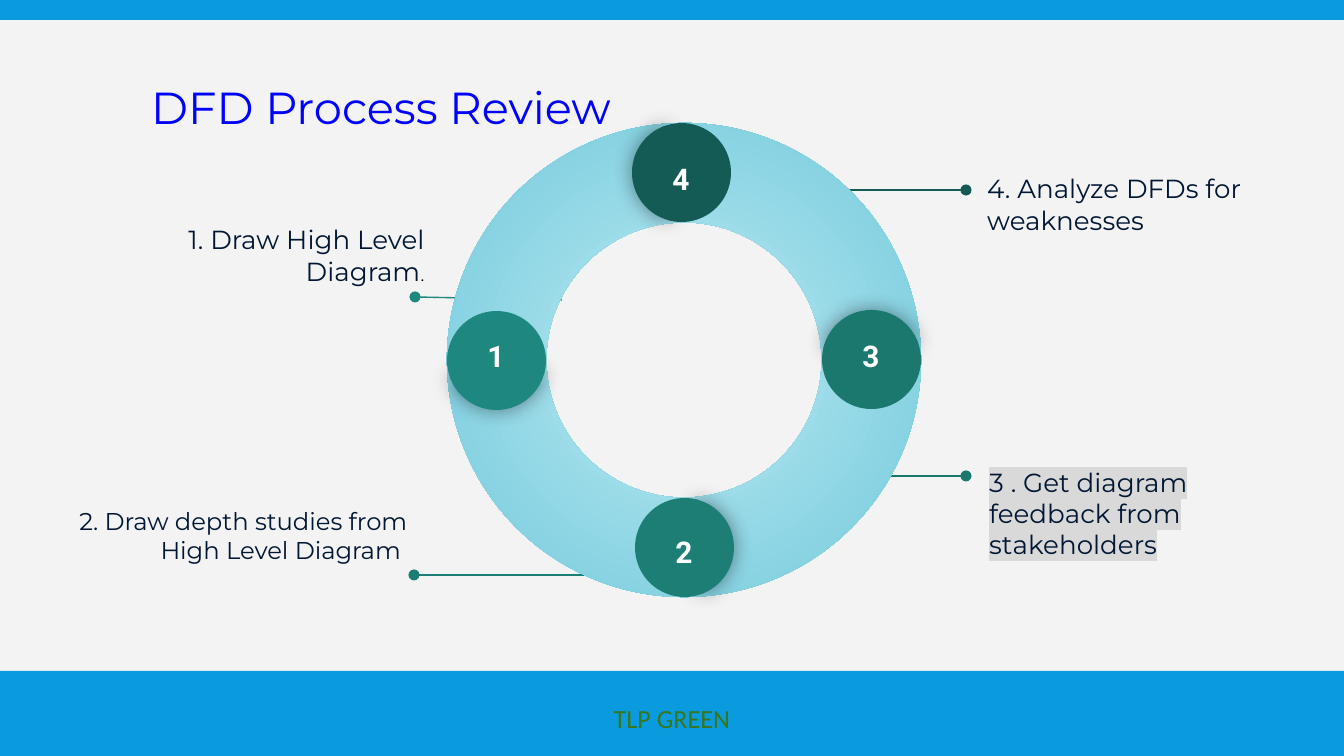
"""Build the DFD process review slide with its four-step ring."""
from dataclasses import dataclass

from lxml import etree
from pptx import Presentation
from pptx import util as u
from pptx.dml.color import RGBColor
from pptx.enum import shapes, text
from pptx.oxml.ns import qn

PX = 914400 / 134.4
BACKGROUND = RGBColor(0xF3, 0xF3, 0xF3)
BAR_BLUE = RGBColor(0x09, 0x9B, 0xDD)
TITLE_BLUE = RGBColor(0x00, 0x00, 0xFF)
FOOTER_GREEN = RGBColor(0x38, 0x76, 0x1D)
NAVY = RGBColor(0x00, 0x16, 0x33)
BLACK = RGBColor(0x00, 0x00, 0x00)
WHITE = RGBColor(0xFF, 0xFF, 0xFF)
RING_LIGHT = RGBColor(0xBC, 0xE8, 0xF1)
RING_DARK = RGBColor(0x56, 0xBF, 0xD5)
TEAL_1 = RGBColor(0x1F, 0x88, 0x7E)
TEAL_2 = RGBColor(0x1D, 0x7E, 0x75)
TEAL_3 = RGBColor(0x1B, 0x78, 0x6F)
TEAL_4 = RGBColor(0x15, 0x5B, 0x55)
HIGHLIGHT = "D9D9D9"
LEFT, CENTER, RIGHT = text.PP_ALIGN.LEFT, text.PP_ALIGN.CENTER, text.PP_ALIGN.RIGHT
BADGE_SIZE = 99
RING_BOX = (447, 123, 474, 474)
Box = tuple[int, int, int, int]


@dataclass(frozen=True)
class Step:
    number: str
    caption: str
    caption_box: Box
    caption_size: int
    align: text.PP_ALIGN
    line: Box
    badge: tuple[int, int]
    number_offset: int
    turn: int
    color: RGBColor


STEPS = (
    Step("1", "1. Draw High Level\vDiagram", (-19, 160, 457, 190), 14, RIGHT,
         (562, 300, 415, 297), (447, 311), 13, 270, TEAL_1),
    Step("2", "2. Draw depth studies from High Level Diagram ", (32, 448, 388, 174), 13, RIGHT,
         (607, 575, 414, 575), (635, 498), 22, 180, TEAL_2),
    Step("3", "3 . Get diagram feedback from stakeholders", (976, 431, 330, 164), 14, LEFT,
         (777, 476, 966, 476), (822, 310), 14, 90, TEAL_3),
    Step("4", "4. Analyze DFDs for weaknesses", (974, 109, 312, 190), 14, LEFT,
         (777, 190, 966, 190), (632, 123), 24, 0, TEAL_4),
)


def emu(*lengths: int) -> list[u.Emu]:
    return [u.Emu(round(length * PX)) for length in lengths]


def style_font(font, name: str, size: int, color: RGBColor, bold: bool = False) -> None:
    font.name, font.size, font.bold = name, u.Pt(size), bold
    font.color.rgb = color


def add_text(slide, box: Box, words: str, font: str, size: int, color: RGBColor,
             align=LEFT, anchor=text.MSO_ANCHOR.TOP, bold: bool = False):
    frame = slide.shapes.add_textbox(*emu(*box)).text_frame
    frame.word_wrap = True
    frame.vertical_anchor = anchor
    frame.margin_left = frame.margin_right = frame.margin_top = frame.margin_bottom = u.Inches(0.1)
    paragraph = frame.paragraphs[0]
    paragraph.text = words
    paragraph.alignment = align
    style_font(paragraph.font, font, size, color, bold)
    return paragraph


def add_filled(slide, preset, box: Box, color: RGBColor, rotation: float = 0,
               adjustments: tuple[float, ...] = ()):
    shape = slide.shapes.add_shape(preset, *emu(*box))
    shape.shadow.inherit = False
    shape.fill.solid()
    shape.fill.fore_color.rgb = color
    shape.line.fill.background()
    shape.rotation = rotation
    for index, value in enumerate(adjustments):
        shape.adjustments[index] = value
    return shape


def add_leader(slide, step: Step) -> None:
    connector = slide.shapes.add_connector(shapes.MSO_CONNECTOR.STRAIGHT, *emu(*step.line))
    connector.line.color.rgb = step.color
    connector.line.width = u.Pt(0.75)
    properties = connector._element.spPr
    etree.SubElement(properties.find(qn("a:ln")), qn("a:tailEnd"), type="oval")
    etree.SubElement(properties, qn("a:effectLst"))


def add_caption(slide, step: Step):
    return add_text(slide, step.caption_box, step.caption, "Montserrat", step.caption_size,
                    NAVY, step.align, text.MSO_ANCHOR.MIDDLE)


def add_ring_arc(slide, rotation: int) -> None:
    arc = add_filled(slide, shapes.MSO_SHAPE.BLOCK_ARC, RING_BOX, RING_LIGHT, rotation,
                     (126.2, 181.8, 0.21))
    arc.fill.gradient()
    for stop, color in zip(arc.fill.gradient_stops, (RING_LIGHT, RING_DARK)):
        stop.color.rgb = color
    gradient = arc._element.spPr.find(qn("a:gradFill"))
    gradient.remove(gradient.find(qn("a:lin")))
    radial = etree.SubElement(gradient, qn("a:path"), path="circle")
    etree.SubElement(radial, qn("a:fillToRect"), dict.fromkeys("ltrb", "50000"))


def add_badge(slide, step: Step) -> None:
    left, top = step.badge
    box = (left, top, BADGE_SIZE, BADGE_SIZE)
    pie = shapes.MSO_SHAPE.PIE
    shaded = add_filled(slide, pie, box, step.color, step.turn + 0.7, (61.9, 149.96))
    effects = shaded._element.spPr.find(qn("a:effectLst"))
    shadow = etree.SubElement(effects, qn("a:outerShdw"), blurRad=str(u.Pt(11.2)),
                              dist="0", dir="0", rotWithShape="0")
    tint = etree.SubElement(shadow, qn("a:srgbClr"), val="000000")
    etree.SubElement(tint, qn("a:alpha"), val="43000")
    add_filled(slide, pie, box, step.color, (step.turn + 180) % 360, (40.28, 171.84))
    add_text(slide, (left + 6, top + step.number_offset, 86, 46), step.number,
             "Roboto", 16, WHITE, CENTER, bold=True)


def main() -> None:
    presentation = Presentation()
    presentation.slide_width, presentation.slide_height = emu(1344, 756)
    slide = presentation.slides.add_slide(presentation.slide_layouts[6])
    slide.background.fill.solid()
    slide.background.fill.fore_color.rgb = BACKGROUND

    footer = add_filled(slide, shapes.MSO_SHAPE.RECTANGLE, (0, 671, 1344, 95), BAR_BLUE)
    footer.text_frame.vertical_anchor = text.MSO_ANCHOR.MIDDLE
    paragraph = footer.text_frame.paragraphs[0]
    paragraph.text = "TLP GREEN"
    paragraph.alignment = CENTER
    style_font(paragraph.font, "Calibri", 14, FOOTER_GREEN)
    add_filled(slide, shapes.MSO_SHAPE.RECTANGLE, (0, 0, 1344, 20), BAR_BLUE)
    add_text(slide, (138, 66, 1034, 138), "DFD Process Review", "Montserrat", 24, TITLE_BLUE)

    for step in STEPS:
        add_leader(slide, step)
    captions = {step.number: add_caption(slide, step) for step in STEPS}
    full_stop = captions["1"].add_run()
    full_stop.text = "."
    style_font(full_stop.font, "Roboto", 9, BLACK)
    feedback = captions["3"].runs[0]._r.get_or_add_rPr()
    highlight = etree.SubElement(feedback, qn("a:highlight"))
    etree.SubElement(highlight, qn("a:srgbClr"), val=HIGHLIGHT)

    for rotation in (240, 330, 60, 150):
        add_ring_arc(slide, rotation)
    for step in STEPS:
        add_badge(slide, step)
    presentation.save("out.pptx")


if __name__ == "__main__":
    main()
